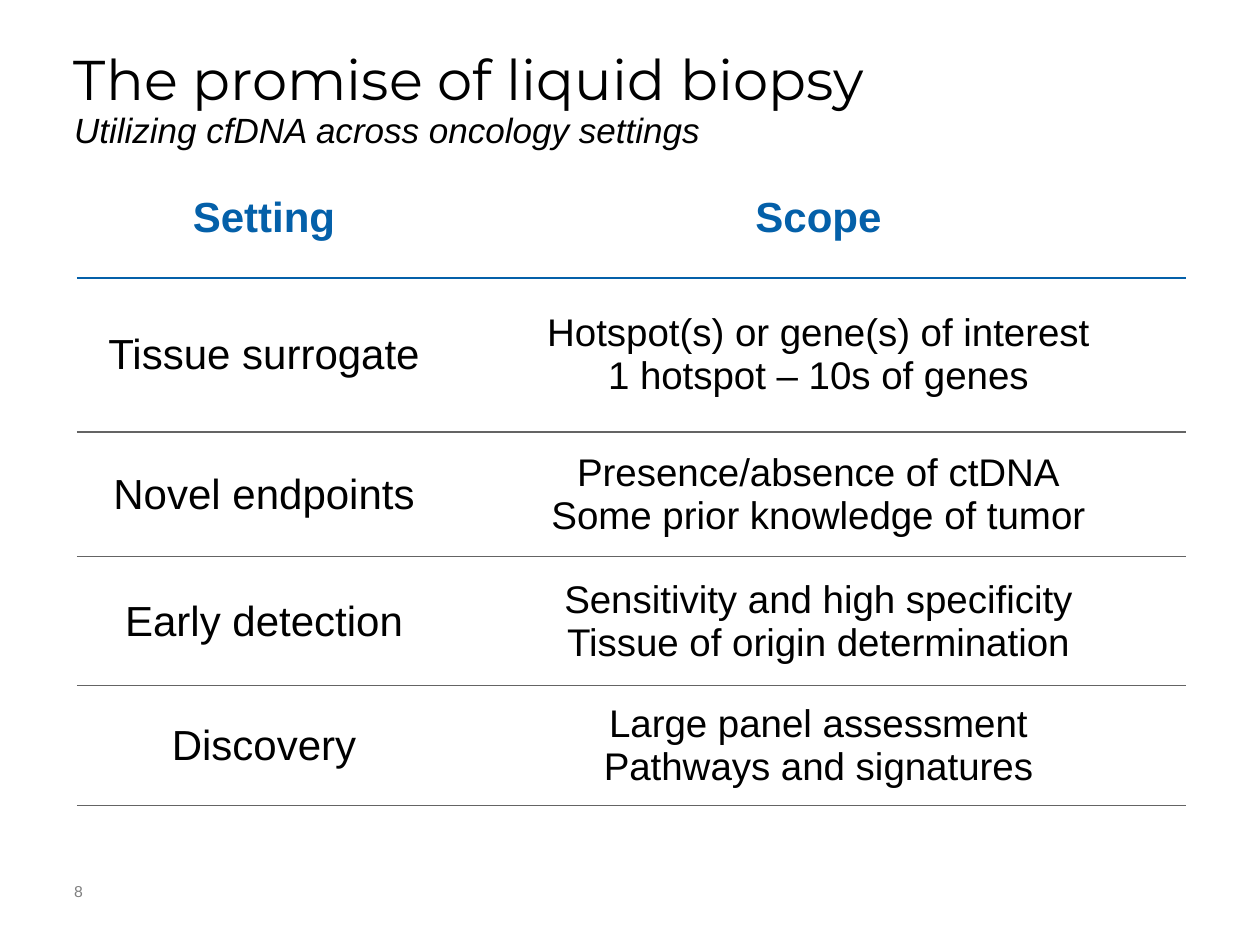
from dataclasses import dataclass

import pptx
import pptx.dml.color
import pptx.enum.text
import pptx.oxml
import pptx.oxml.ns
import pptx.util

PX = 914400 // 126
ANCHOR = pptx.enum.text.MSO_ANCHOR
ALIGN = pptx.enum.text.PP_ALIGN
BLUE, BLACK, GRAY, RULE = "0460A9", "000000", "7F7F7F", "646464"


@dataclass
class Setting:
    name: str
    scope: list[str]
    height: int


HEADER = Setting("Setting", ["Scope"], 120)
SETTINGS = [
    Setting("Tissue surrogate", ["Hotspot(s) or gene(s) of interest", "1 hotspot – 10s of genes"], 154),
    Setting("Novel endpoints", ["Presence/absence of ctDNA", "Some prior knowledge of tumor"], 125),
    Setting("Early detection", ["Sensitivity and high specificity", "Tissue of origin determination"], 129),
    Setting("Discovery", ["Large panel assessment", "Pathways and signatures"], 120),
]
COLUMNS = [374, 735]


def px(length: int) -> int:
    return pptx.util.Emu(length * PX)


def color(value: str):
    return pptx.dml.color.RGBColor.from_string(value)


def write(frame, lines: list[str], *, size: int, fill: str = BLACK, font: str = "Arial",
          bold: bool = False, italic: bool = False, align=ALIGN.LEFT, spacing: float = 1.0) -> None:
    for index, line in enumerate(lines):
        para = frame.add_paragraph() if index else frame.paragraphs[0]
        para.alignment = align
        para.line_spacing = spacing
        span = para.add_run()
        span.text = line
        span.font.name, span.font.size = font, pptx.util.Pt(size)
        span.font.bold, span.font.italic = bold, italic
        span.font.color.rgb = color(fill)


def add_text(page, text: str, left: int, top: int, width: int, height: int, *,
             inset_top: int = 0, anchor=ANCHOR.TOP, **style) -> None:
    frame = page.shapes.add_textbox(px(left), px(top), px(width), px(height)).text_frame
    frame.word_wrap = True
    frame.vertical_anchor = anchor
    frame.margin_left = frame.margin_right = frame.margin_bottom = 0
    frame.margin_top = px(inset_top)
    write(frame, [text], **style)


def set_borders(cell, top: tuple | None, bottom: tuple) -> None:
    properties = cell._tc.get_or_add_tcPr()
    sides = {"lnL": None, "lnR": None, "lnT": top, "lnB": bottom}
    for index, (tag, line) in enumerate(sides.items()):
        stroke, points = line or ("", 0)
        paint = f'<a:solidFill><a:srgbClr val="{stroke}"/></a:solidFill>' if line else "<a:noFill/>"
        border = pptx.oxml.parse_xml(
            f'<a:{tag} {pptx.oxml.ns.nsdecls("a")} w="{pptx.util.Pt(points)}">{paint}</a:{tag}>')
        properties.insert(index, border)


def add_settings_table(page, left: int, top: int) -> None:
    rows = [HEADER, *SETTINGS]
    height = sum(row.height for row in rows)
    table = page.shapes.add_table(len(rows), len(COLUMNS), px(left), px(top),
                                  px(sum(COLUMNS)), px(height)).table
    table.first_row = table.horz_banding = False
    for column, width in zip(table.columns, COLUMNS):
        column.width = px(width)

    line_above = None
    for index, row in enumerate(rows):
        is_header = row is HEADER
        line_below = (BLUE, 1.5) if is_header else (RULE, 0.75)
        table.rows[index].height = px(row.height)
        for column, lines in enumerate([[row.name], row.scope]):
            cell = table.cell(index, column)
            cell.vertical_anchor = ANCHOR.MIDDLE
            cell.fill.background()
            set_borders(cell, line_above, line_below)
            write(cell.text_frame, lines, size=24 if is_header or column == 0 else 22,
                  fill=BLUE if is_header else BLACK, bold=is_header, align=ALIGN.CENTER)
        line_above = line_below


def main() -> None:
    deck = pptx.Presentation()
    deck.slide_width, deck.slide_height = pptx.util.Inches(10), pptx.util.Inches(7.5)
    page = deck.slides.add_slide(deck.slide_layouts[6])

    # Heading
    add_text(page, "The promise of liquid biopsy", 74, 42, 1147, 111,
             inset_top=18, size=32, font="Montserrat", spacing=0.75)
    add_text(page, "Utilizing cfDNA across oncology settings", 74, 102, 1145, 50,
             anchor=ANCHOR.BOTTOM, size=20, italic=True, spacing=0.95)

    # Settings and their scope
    add_settings_table(page, 77, 158)

    # Page number
    add_text(page, "8", 74, 882, 55, 34, size=9, fill=GRAY)

    deck.save("out.pptx")


if __name__ == "__main__":
    main()
